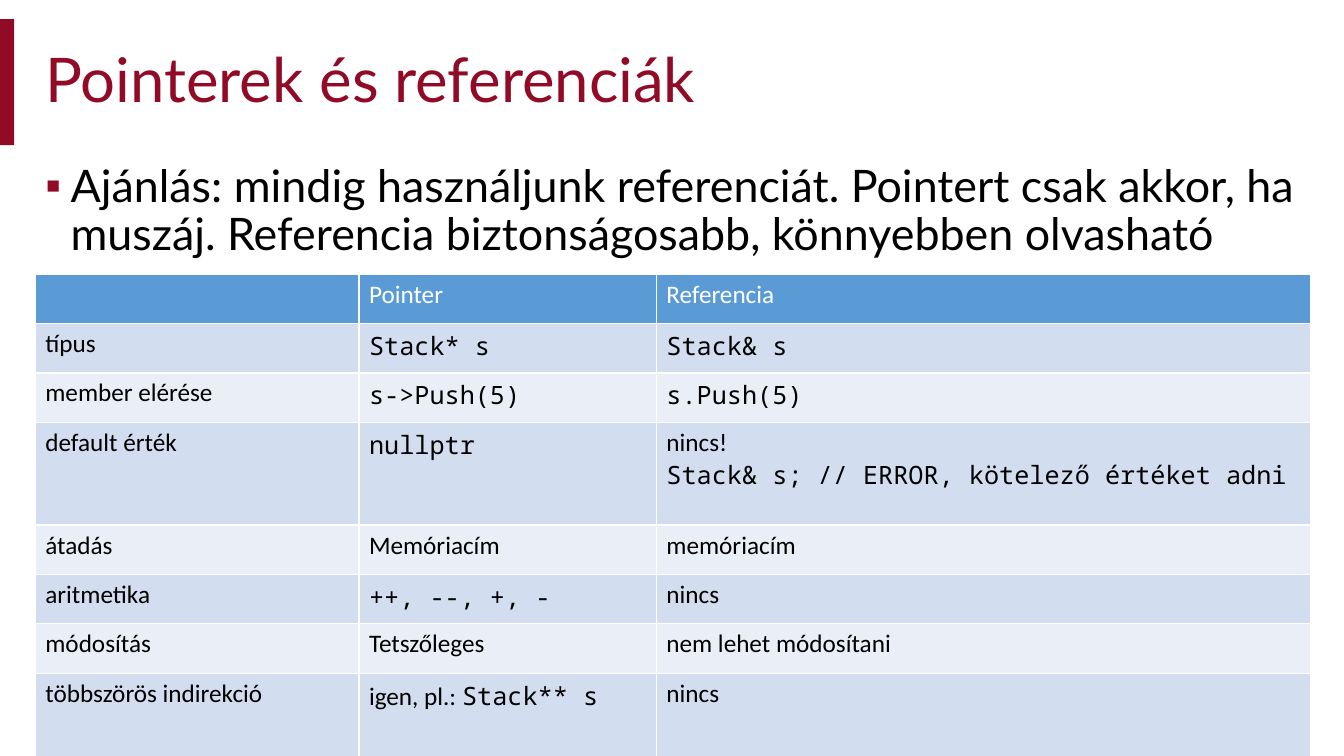
"""Build the slide comparing pointers and references."""
from dataclasses import dataclass

from pptx import Presentation
from pptx import util as u
from pptx.dml.color import RGBColor
from pptx.enum import shapes, text
from pptx.oxml import parse_xml
from pptx.oxml.ns import nsdecls


@dataclass(frozen=True)
class Theme:
    """Colours, fonts and type sizes of the slide."""
    accent: str = "910A26"
    ink: str = "000000"
    white: str = "FFFFFF"
    header: str = "5B9BD5"
    bands: tuple[str, str] = ("EAEFF7", "D2DEEF")
    heading_font: str = "Lato"
    table_font: str = "Calibri"
    code_font: str = "Noto Sans Mono"
    title_size: int = 44
    body_size: int = 32
    table_size: int = 18
    border_width: int = 1


@dataclass(frozen=True)
class Box:
    """Position and size in inches."""
    left: float
    top: float
    width: float
    height: float

    def lengths(self) -> tuple[u.Length, ...]:
        """Return the four values as lengths."""
        return tuple(u.Inches(value) for value in (self.left, self.top, self.width, self.height))


@dataclass(frozen=True)
class Row:
    """One comparison row; backticks enclose code."""
    topic: str
    pointer: str
    reference: str
    height: float = 0.49


THEME = Theme()
LEFT, WIDTH = 0.35, 12.65
ACCENT_BAR = Box(0, 0.19, 0.14, 1.25)
TITLE_BOX = Box(LEFT, 0.19, WIDTH, 1.25)
BODY_BOX = Box(LEFT, 1.57, WIDTH, 5.62)
TABLE_BOX = Box(LEFT, 2.72, WIDTH, 4.78)
COLUMN_WIDTHS = (3.21, 2.95, 6.49)
TITLE = "Pointerek és referenciák"
ADVICE = ("Ajánlás: mindig használjunk referenciát. Pointert csak akkor, ha muszáj. "
          "Referencia biztonságosabb, könnyebben olvasható")
ROWS = (
    Row("", "Pointer", "Referencia"),
    Row("típus", "`Stack* s`", "`Stack& s`"),
    Row("member elérése", "`s->Push(5)`", "`s.Push(5)`"),
    Row("default érték", "`nullptr`", "nincs!\n`Stack& s; // ERROR, kötelező értéket adni`", 1.02),
    Row("átadás", "Memóriacím", "memóriacím"),
    Row("aritmetika", "`++, --, +, -`", "nincs"),
    Row("módosítás", "Tetszőleges", "nem lehet módosítani"),
    Row("többszörös indirekció", "igen, pl.: `Stack** s`", "nincs", 0.84),
)


def set_font(font, name: str, size: int, color: str) -> None:
    """Apply a regular typeface, size and colour."""
    font.name, font.size, font.bold = name, u.Pt(size), False
    font.color.rgb = RGBColor.from_string(color)


def place(shape, box: Box) -> None:
    """Move and resize a shape."""
    shape.left, shape.top, shape.width, shape.height = box.lengths()


def add_bullet(paragraph, color: str) -> None:
    """Give a paragraph a hanging square bullet."""
    properties = paragraph._p.get_or_add_pPr()
    properties.set("marL", str(u.Inches(0.25)))
    properties.set("indent", str(u.Inches(-0.25)))
    for xml in (f'<a:buClr {nsdecls("a")}><a:srgbClr val="{color}"/></a:buClr>',
                f'<a:buChar {nsdecls("a")} char="▪"/>'):
        properties.append(parse_xml(xml))


def fill_placeholder(shape, box: Box, wording: str, size: int, color: str):
    """Place a text placeholder and return its formatted paragraph."""
    place(shape, box)
    frame = shape.text_frame
    frame.text = wording
    frame.auto_size = text.MSO_AUTO_SIZE.NONE
    paragraph = frame.paragraphs[0]
    paragraph.alignment = text.PP_ALIGN.LEFT
    paragraph.line_spacing = 0.9
    set_font(paragraph.font, THEME.heading_font, size, color)
    return paragraph


def add_accent_bar(slide) -> None:
    """Draw the bar beside the title."""
    bar = slide.shapes.add_shape(shapes.MSO_SHAPE.RECTANGLE, *ACCENT_BAR.lengths())
    bar.shadow.inherit = False
    bar.fill.solid()
    bar.fill.fore_color.rgb = RGBColor.from_string(THEME.accent)
    bar.line.fill.background()


def add_borders(cell) -> None:
    """Outline a cell with thin white lines."""
    properties = cell._tc.get_or_add_tcPr()
    for position, side in enumerate(("lnL", "lnR", "lnT", "lnB")):
        properties.insert(position, parse_xml(
            f'<a:{side} {nsdecls("a")} w="{u.Pt(THEME.border_width)}"><a:solidFill>'
            f'<a:srgbClr val="{THEME.white}"/></a:solidFill></a:{side}>'))


def write_cell(cell, wording: str, fill: str, color: str) -> None:
    """Fill a cell and write its lines of prose and code."""
    cell.fill.solid()
    cell.fill.fore_color.rgb = RGBColor.from_string(fill)
    add_borders(cell)
    for number, line in enumerate(wording.split("\n")):
        paragraph = cell.text_frame.add_paragraph() if number else cell.text_frame.paragraphs[0]
        set_font(paragraph.font, THEME.table_font, THEME.table_size, color)
        for index, part in enumerate(line.split("`")):
            if part:
                run = paragraph.add_run()
                run.text = part
                if index % 2:
                    run.font.name = THEME.code_font


def add_comparison(slide) -> None:
    """Add the comparison table."""
    table = slide.shapes.add_table(len(ROWS), len(COLUMN_WIDTHS), *TABLE_BOX.lengths()).table
    for column, width in zip(table.columns, COLUMN_WIDTHS):
        column.width = u.Inches(width)
    for index, row in enumerate(ROWS):
        table.rows[index].height = u.Inches(row.height)
        fill = THEME.bands[index % 2] if index else THEME.header
        color = THEME.ink if index else THEME.white
        for cell, wording in zip(table.rows[index].cells, (row.topic, row.pointer, row.reference)):
            write_cell(cell, wording, fill, color)


def main() -> None:
    """Build and save the presentation."""
    presentation = Presentation()
    presentation.slide_width, presentation.slide_height = u.Inches(13.33), u.Inches(7.5)
    slide = presentation.slides.add_slide(presentation.slide_layouts[1])
    add_accent_bar(slide)
    title, body = slide.placeholders
    fill_placeholder(title, TITLE_BOX, TITLE, THEME.title_size, THEME.accent)
    title.text_frame.vertical_anchor = text.MSO_ANCHOR.MIDDLE
    advice = fill_placeholder(body, BODY_BOX, ADVICE, THEME.body_size, THEME.ink)
    advice._p.pPr.remove(advice._p.pPr.defRPr)
    advice.space_before = u.Pt(10)
    add_bullet(advice, THEME.accent)
    set_font(advice.font, THEME.heading_font, THEME.body_size, THEME.ink)
    add_comparison(slide)
    presentation.save("out.pptx")


main()
